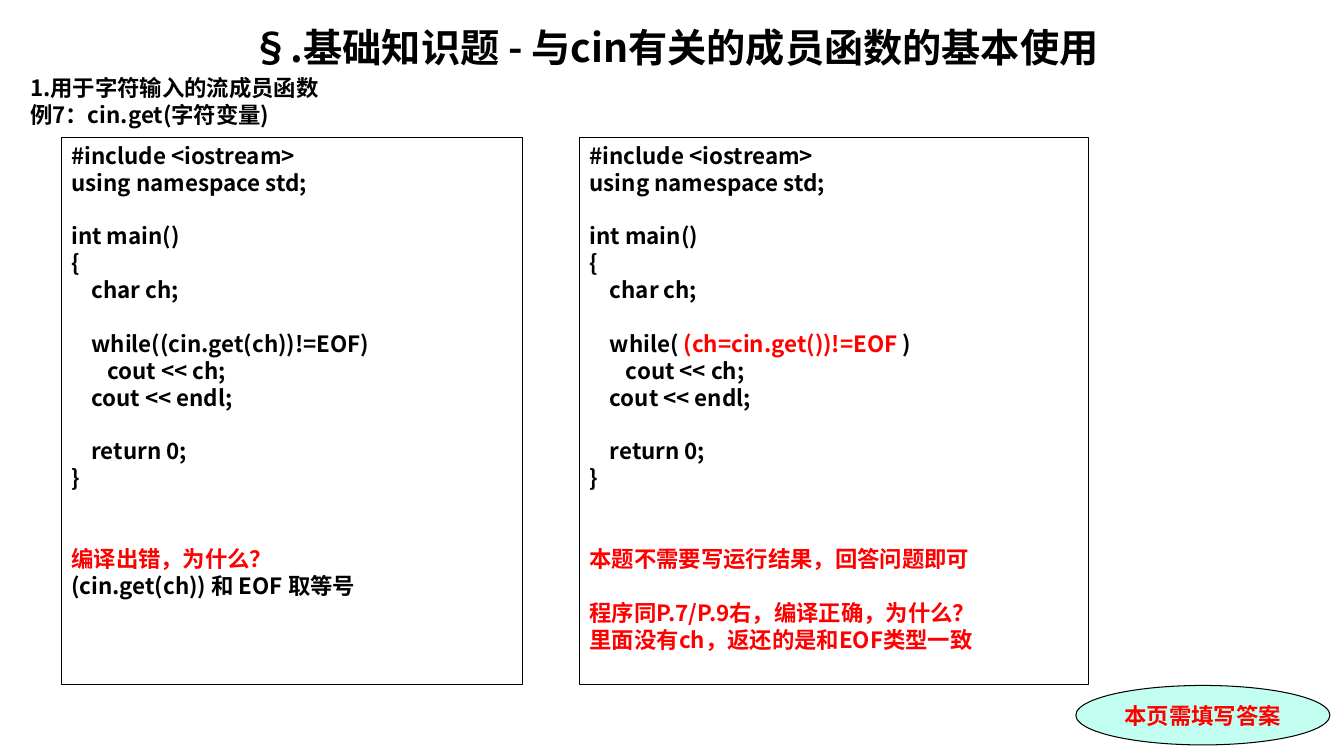
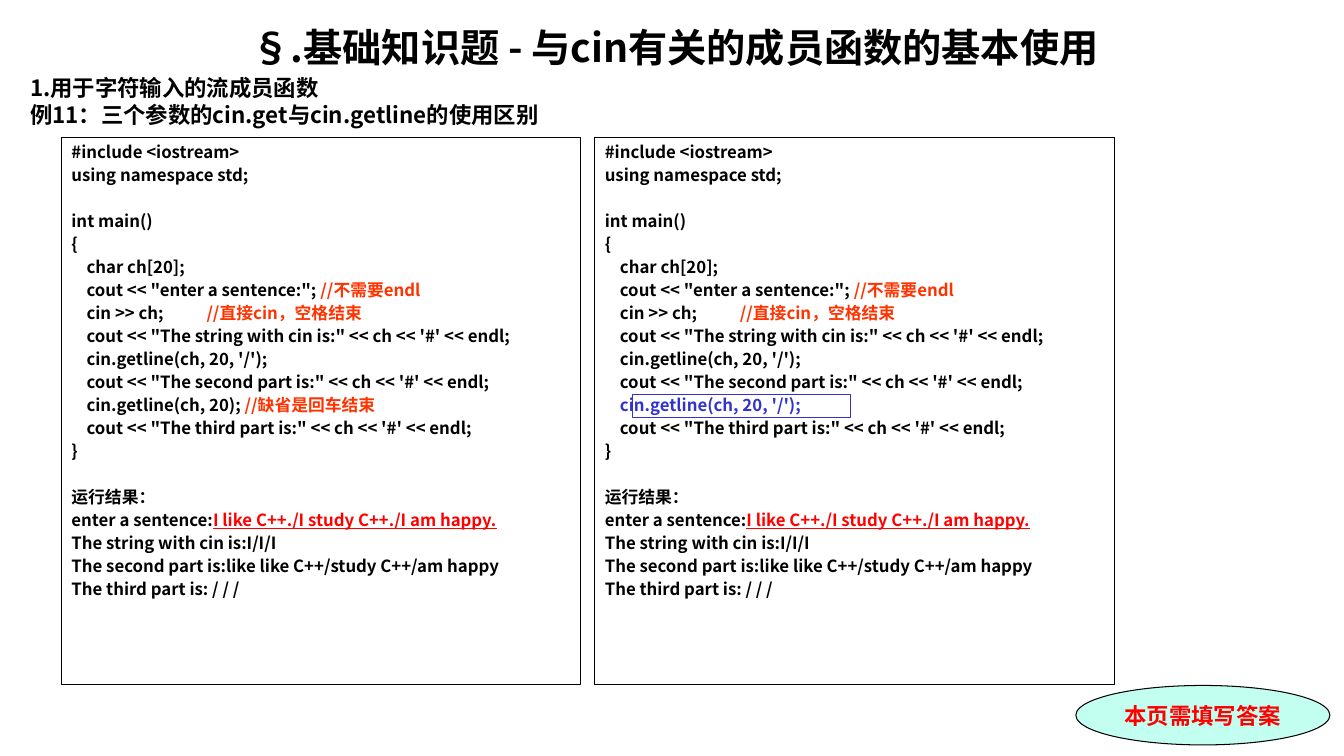
from dataclasses import dataclass
from typing import NamedTuple

import pptx
import pptx.dml.color
import pptx.enum.shapes
import pptx.enum.text
import pptx.oxml
import pptx.oxml.ns
import pptx.util
from pptx.util import Inches

RGBColor = pptx.dml.color.RGBColor
Shape = pptx.enum.shapes.MSO_SHAPE
Align = pptx.enum.text.PP_ALIGN
Anchor = pptx.enum.text.MSO_ANCHOR
Pt = pptx.util.Pt
qn = pptx.oxml.ns.qn

BLACK = RGBColor(0x00, 0x00, 0x00)
RED = RGBColor(0xFF, 0x00, 0x00)
ORANGE = RGBColor(0xFF, 0x33, 0x00)
BLUE = RGBColor(0x33, 0x33, 0xCC)
MINT = RGBColor(0xC2, 0xFF, 0xF0)

FONT = "Noto Sans CJK SC"
BADGE_FONT = "Times New Roman"
LINE_RATIO = 1.2
CODE_TOP, CODE_HEIGHT = 1.36, 5.43

TITLE = "§.基础知识题 - 与cin有关的成员函数的基本使用"
SECTION = "1.用于字符输入的流成员函数"
BADGE = "本页需填写答案"


class Span(NamedTuple):
    text: str
    color: RGBColor = BLACK
    underline: bool = False


class Line(NamedTuple):
    spans: tuple
    gap: int = 0  # empty lines left above


@dataclass
class Style:
    size: float
    before: float = 0
    align: Align = Align.LEFT
    font: str = FONT
    tabs: tuple = ()


@dataclass
class CodeBox:
    left: float
    width: float
    lines: list
    style: Style


@dataclass
class Frame:
    left: float
    top: float
    width: float
    height: float
    color: RGBColor


@dataclass
class Lesson:
    example: str
    boxes: list
    frames: tuple = ()


TITLE_STYLE = Style(28, align=Align.CENTER)
SECTION_STYLE = Style(16, before=3.2)
EXAMPLE_STYLE = Style(16)
BADGE_STYLE = Style(16, align=Align.CENTER, font=BADGE_FONT)
LARGE_CODE = Style(16, tabs=(0.2, 0.36))
SMALL_CODE = Style(12, before=2, tabs=(0.15, 1.34))


def line(*parts, gap: int = 0) -> Line:
    return Line(tuple(Span(part) if isinstance(part, str) else part for part in parts), gap)


# Text
def write_line(para, content: Line, style: Style) -> None:
    height = style.size * LINE_RATIO
    layout = {
        "alignment": style.align,
        "line_spacing": Pt(height),
        "space_before": Pt(style.before + content.gap * (height + style.before)),
    }
    for name, value in layout.items():
        setattr(para, name, value)
    if style.tabs:
        properties = para._p.get_or_add_pPr()
        tab_list = pptx.oxml.ns and properties.makeelement(qn("a:tabLst"), {})
        for position in style.tabs:
            tab = properties.makeelement(qn("a:tab"), {"pos": str(Inches(position)), "algn": "l"})
            tab_list.append(tab)
        properties.append(tab_list)
    for part in content.spans:
        span = para.add_run()
        span.text = part.text
        formats = {"name": style.font, "size": Pt(style.size), "bold": True,
                   "underline": part.underline}
        for name, value in formats.items():
            setattr(span.font, name, value)
        span.font.color.rgb = part.color
        east_asian = span._r.rPr.makeelement(qn("a:ea"), {"typeface": FONT})
        span._r.rPr.find(qn("a:latin")).addnext(east_asian)


def write_lines(box, styled_lines: list, anchor: Anchor = Anchor.TOP) -> None:
    frame = box.text_frame
    frame.word_wrap = True
    frame.vertical_anchor = anchor
    for index, (content, style) in enumerate(styled_lines):
        para = frame.add_paragraph() if index else frame.paragraphs[0]
        write_line(para, content, style)


# Shapes
def add_outline(page, kind: Shape, area: Frame, fill: RGBColor | None = None):
    box = page.shapes.add_shape(kind, Inches(area.left), Inches(area.top),
                                Inches(area.width), Inches(area.height))
    box.shadow.inherit = False
    if fill is None:
        box.fill.background()
    else:
        box.fill.solid()
        box.fill.fore_color.rgb = fill
    box.line.color.rgb = area.color
    box.line.width = Pt(0.75)
    return box


def add_heading(page, example: str) -> None:
    box = page.shapes.add_textbox(Inches(0.2), Inches(0.18), Inches(12.99), Inches(7.09))
    write_lines(box, [(line(TITLE), TITLE_STYLE), (line(SECTION), SECTION_STYLE),
                      (line(example), EXAMPLE_STYLE)])


def add_badge(page) -> None:
    box = add_outline(page, Shape.OVAL, Frame(10.67, 6.8, 2.52, 0.59, BLACK), MINT)
    write_lines(box, [(line(Span(BADGE, RED)), BADGE_STYLE)], Anchor.MIDDLE)


def add_lesson(deck, lesson: Lesson) -> None:
    page = deck.slides.add_slide(deck.slide_layouts[6])
    add_heading(page, lesson.example)
    for code in lesson.boxes:
        area = Frame(code.left, CODE_TOP, code.width, CODE_HEIGHT, BLACK)
        box = add_outline(page, Shape.RECTANGLE, area)
        write_lines(box, [(content, code.style) for content in code.lines])
    for frame in lesson.frames:
        add_outline(page, Shape.RECTANGLE, frame)
    add_badge(page)


# Program listings
def program(*body: Line) -> list:
    return [line("#include <iostream>"), line("using namespace std;"),
            line("int main()", gap=1), line("{"), *body, line("}")]


def echo_program(loop: Line) -> list:
    return program(line("\tchar ch;"), loop, line("\t\tcout << ch;"),
                   line("\tcout << endl;"), line("\treturn 0;", gap=1))


def sentence_program(*third_read) -> list:
    return program(
        line("\tchar ch[20];"),
        line('\tcout << "enter a sentence:"; ', Span("//不需要endl", ORANGE)),
        line("\tcin >> ch;\t", Span("//直接cin，空格结束", ORANGE)),
        line("\tcout << \"The string with cin is:\" << ch << '#' << endl;"),
        line("\tcin.getline(ch, 20, '/');"),
        line("\tcout << \"The second part is:\" << ch << '#' << endl;"),
        line(*third_read),
        line("\tcout << \"The third part is:\" << ch << '#' << endl;"),
    ) + [
        line("运行结果：", gap=1),
        line("enter a sentence:", Span("I like C++./I study C++./I am happy.", RED, True)),
        line("The string with cin is:I/I/I"),
        line("The second part is:like like C++/study C++/am happy"),
        line("The third part is: / / /"),
    ]


GET_LEFT = echo_program(line("\twhile((cin.get(ch))!=EOF)", gap=1)) + [
    line(Span("编译出错，为什么？", RED), gap=2),
    line("(cin.get(ch)) 和 EOF 取等号"),
]
GET_RIGHT = echo_program(
    line("\twhile( ", Span("(ch=cin.get())!=EOF ", RED), ")", gap=1)
) + [
    line(Span("本题不需要写运行结果，回答问题即可", RED), gap=2),
    line(Span("程序同P.7/P.9右，编译正确，为什么？", RED), gap=1),
    line(Span("里面没有ch，返还的是和EOF类型一致", RED)),
]
GETLINE_LEFT = sentence_program("\tcin.getline(ch, 20); ", Span("//缺省是回车结束", ORANGE))
GETLINE_RIGHT = sentence_program(Span("\tcin.getline(ch, 20, '/');", BLUE))

LESSONS = [
    Lesson("例7：cin.get(字符变量)",
           [CodeBox(0.61, 4.57, GET_LEFT, LARGE_CODE),
            CodeBox(5.75, 5.05, GET_RIGHT, LARGE_CODE)]),
    Lesson("例11：三个参数的cin.get与cin.getline的使用区别",
           [CodeBox(0.61, 5.15, GETLINE_LEFT, SMALL_CODE),
            CodeBox(5.9, 5.15, GETLINE_RIGHT, SMALL_CODE)],
           (Frame(6.27, 3.91, 2.17, 0.23, BLUE),)),
]


def main() -> None:
    deck = pptx.Presentation()
    deck.slide_width, deck.slide_height = Inches(13.33), Inches(7.5)
    for lesson in LESSONS:
        add_lesson(deck, lesson)
    deck.save("out.pptx")


if __name__ == "__main__":
    main()
